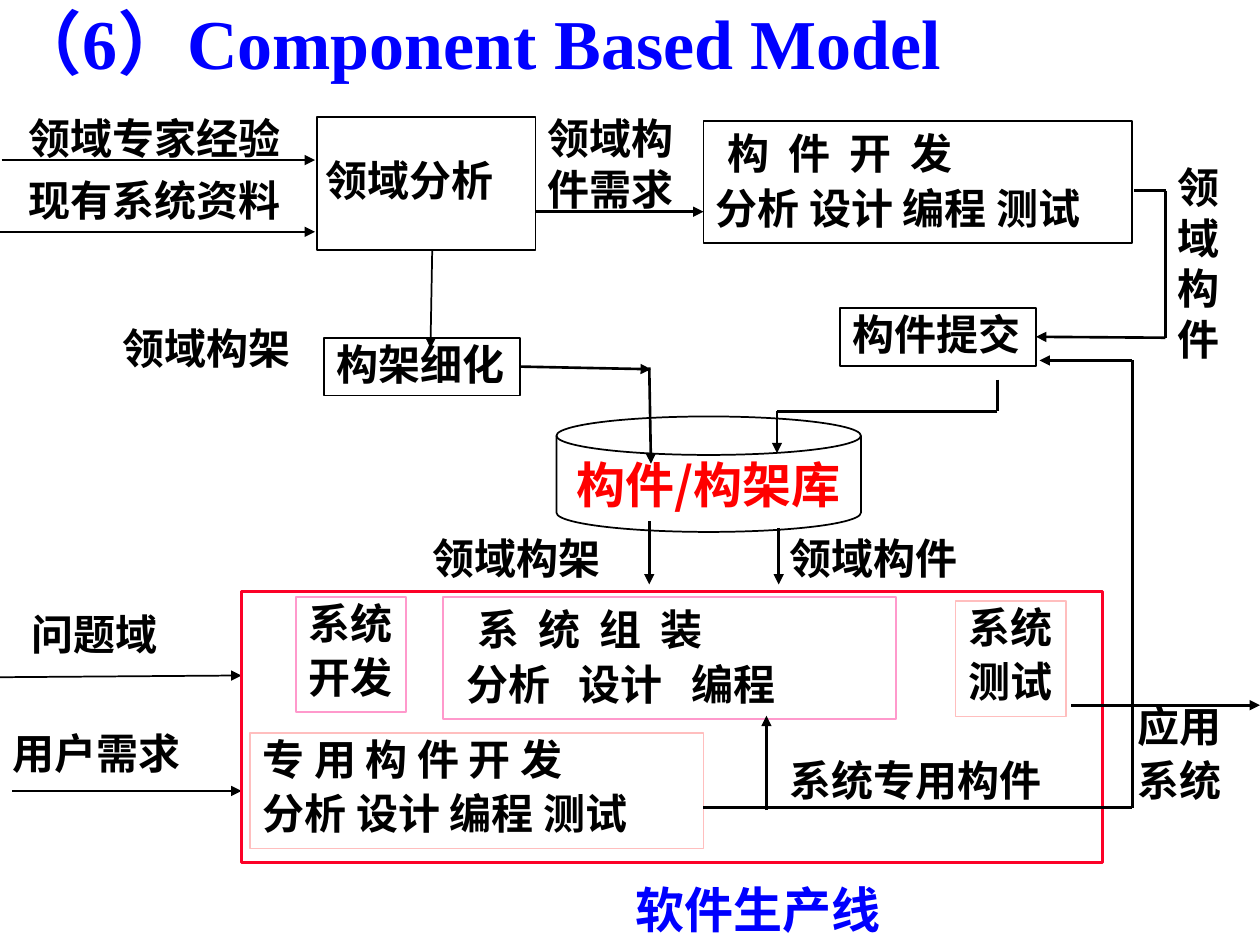
from dataclasses import dataclass
from typing import Any

from lxml import etree
from pptx import Presentation
from pptx.dml.color import RGBColor
from pptx.enum import shapes, text
from pptx.oxml import ns
from pptx.util import Pt

BLACK = RGBColor(0, 0, 0)
WHITE = RGBColor(255, 255, 255)
BLUE = RGBColor(0, 0, 255)
RED = RGBColor(255, 0, 0)
FRAME_RED = RGBColor(0xFC, 0x01, 0x28)
PINK = RGBColor(0xFF, 0x99, 0xCC)
SALMON = RGBColor(0xFF, 0xBE, 0xBE)
CJK = "Noto Sans CJK SC"
THIN, THICK = 1, 1.5
RIGHT_SIDE = 3
SPACE = 5.4  # extra width of one more space in 24 pt text


def add_run(paragraph, words, size, color, font=CJK, spacing=0):
    run = paragraph.add_run()
    run.text = words
    run.font.size, run.font.bold, run.font.name = Pt(size), True, font
    run.font.color.rgb = color
    properties = run.font._element
    etree.SubElement(properties, ns.qn("a:ea"), typeface=CJK)
    if spacing:
        properties.set("spc", str(round(spacing * 100)))


def write(shape, lines, size=24, color=BLACK, font=CJK, tight=False, wrap=False,
          middle=False, center=False, gaps=None, lead=False, indent=0):
    """Fill a shape; gaps widens the spaces per line, lead opens with a large space."""
    frame = shape.text_frame
    frame.word_wrap = wrap
    frame.vertical_anchor = text.MSO_ANCHOR.MIDDLE if middle else text.MSO_ANCHOR.TOP
    for number, line in enumerate(lines):
        paragraph = frame.paragraphs[0] if number == 0 else frame.add_paragraph()
        paragraph.alignment = text.PP_ALIGN.CENTER if center else text.PP_ALIGN.LEFT
        if tight:
            paragraph.line_spacing, paragraph.space_before = 0.9, Pt(5)
        if indent:
            paragraph._p.get_or_add_pPr().set("marL", str(Pt(indent)))
        if lead and number == 0:
            add_run(paragraph, " ", 28, color, font)
        if not (gaps and gaps[number]):
            add_run(paragraph, line, size, color, font)
            continue
        for position, word in enumerate(line.split(" ")):
            if position:
                add_run(paragraph, " ", size, color, font, gaps[number])
            add_run(paragraph, word, size, color, font)


@dataclass
class Region:
    """A part of the slide; its shapes are placed from its top left corner."""
    slide: Any
    left: float
    top: float

    def label(self, x, y, width, height, lines, **style):
        shape = self.slide.shapes.add_textbox(
            Pt(self.left + x), Pt(self.top + y), Pt(width), Pt(height))
        write(shape, lines, **style)

    def box(self, x, y, width, height, lines=(), line=BLACK, fill=None, weight=THIN,
            kind=shapes.MSO_SHAPE.RECTANGLE, **style):
        shape = self.slide.shapes.add_shape(
            kind, Pt(self.left + x), Pt(self.top + y), Pt(width), Pt(height))
        shape.shadow.inherit = False
        shape.line.color.rgb, shape.line.width = line, Pt(weight)
        if fill is None:
            shape.fill.background()
        else:
            shape.fill.solid()
            shape.fill.fore_color.rgb = fill
        if lines:
            write(shape, lines, **style)
        return shape

    def arrow(self, *points, weight=THICK, start=None, end=None):
        """Join the points with lines, the last one with an arrowhead."""
        connectors = []
        for (x1, y1), (x2, y2) in zip(points, points[1:]):
            connector = self.slide.shapes.add_connector(
                shapes.MSO_CONNECTOR.STRAIGHT, Pt(self.left + x1), Pt(self.top + y1),
                Pt(self.left + x2), Pt(self.top + y2))
            connector.line.color.rgb, connector.line.width = BLACK, Pt(weight)
            etree.SubElement(connector._element.spPr, ns.qn("a:effectLst"))
            connectors.append(connector)
        if start is not None:
            connectors[0].begin_connect(start, RIGHT_SIDE)
        if end is not None:
            connectors[-1].end_connect(end, RIGHT_SIDE)
        line = connectors[-1].line._get_or_add_ln()
        etree.SubElement(line, ns.qn("a:tailEnd"), type="triangle")


def add_title(region):
    region.label(0, 0, 720, 30, ["（6）Component Based Model"], size=40, color=BLUE,
                 font="Times New Roman", middle=True, wrap=True)


def add_domain_analysis(region):
    region.box(181, 7, 125, 76, fill=WHITE)
    region.label(179, 28, 112, 33, ["领域分析"], tight=True)
    region.label(9, 1, 160, 36, ["领域专家经验"])
    region.label(9, 36, 160, 36, ["现有系统资料"])
    region.arrow((1, 31.5), (180, 31.5), weight=THIN)
    region.arrow((0, 72.5), (180, 72.5), weight=THIN)
    region.label(306, 1, 87, 66, ["领域构", "件需求"])
    region.arrow((306, 61), (402, 61))
    region.arrow((247, 83), (246, 139), weight=THIN)
    region.label(63, 121, 111, 36, ["领域构架"])
    refinement = region.box(185, 133, 112, 33, ["构架细化"], tight=True)
    region.arrow((300, 149.5), (372, 151), start=refinement)
    region.arrow((371, 150), (372, 205))


def add_component_development(region):
    region.box(0, 9, 245, 70, ["构 件 开 发", "分析 设计 编程 测试"], tight=True,
               wrap=True, lead=True, gaps=[SPACE, 0])
    delivery = region.box(78, 116, 112, 33, ["构件提交"], fill=WHITE, tight=True)
    region.arrow((246, 49), (264, 49), (264, 133), (192, 132.5), end=delivery)
    region.label(264, 29, 39, 124, list("领域构件"))
    region.arrow((168, 157), (168, 175), (42, 175), (42, 199))


def add_repository(region):
    region.box(0, 0, 174, 66, ["构件/构架库"], fill=WHITE, size=28, color=RED,
               kind=shapes.MSO_SHAPE.FLOWCHART_MAGNETIC_DISK, middle=True, center=True)
    region.label(-78, 66, 112, 33, ["领域构架"], tight=True)
    region.label(126, 66, 112, 33, ["领域构件"], tight=True)
    region.arrow((53, 60), (53, 96))
    region.arrow((127, 64), (127, 96))


def add_system_inputs(region):
    region.label(11, 6, 87, 36, ["问题域"])
    region.arrow((0, 49), (138, 48), weight=THIN)
    region.label(0, 74, 111, 36, ["用户需求"])
    region.arrow((7, 114), (138, 114), weight=THIN)


def add_production_line(region):
    region.box(0, 0, 492, 155, line=FRAME_RED, weight=THICK)
    region.box(31, 3, 63, 66, ["系统", "开发"], line=PINK, fill=WHITE, tight=True)
    region.box(115, 3, 259, 70, ["系 统 组 装", "分析 设计 编程"], line=PINK, tight=True,
               wrap=True, lead=True, indent=6.5, gaps=[SPACE, 2 * SPACE])
    region.box(408, 5.5, 63, 66, ["系统", "测试"], line=SALMON, tight=True, center=True)
    region.box(5, 81, 259, 66, ["专 用 构 件 开 发", "分析 设计 编程 测试"], line=SALMON,
               tight=True, wrap=True)
    region.label(306, 93, 186, 33, ["系统专用构件"], tight=True, wrap=True)
    region.arrow((264, 123.5), (509, 123.5), (509, -132), (456, -132))
    region.arrow((300, 125), (300, 71))
    region.arrow((474, 65), (582, 65))
    region.label(505, 62, 71, 66, ["应用", "系统"], tight=True, wrap=True)
    region.label(218, 161, 156, 41, ["软件生产线"], size=28, color=BLUE, font="Arial",
                 middle=True)


def main():
    presentation = Presentation()
    presentation.slide_width, presentation.slide_height = Pt(720), Pt(540)
    slide = presentation.slides.add_slide(presentation.slide_layouts[6])
    add_title(Region(slide, 0, 9))
    add_repository(Region(slide, 318, 238))
    add_domain_analysis(Region(slide, 0, 60))
    add_component_development(Region(slide, 402, 60))
    add_system_inputs(Region(slide, 0, 338))
    add_production_line(Region(slide, 138, 338))
    presentation.save("out.pptx")


if __name__ == "__main__":
    main()
